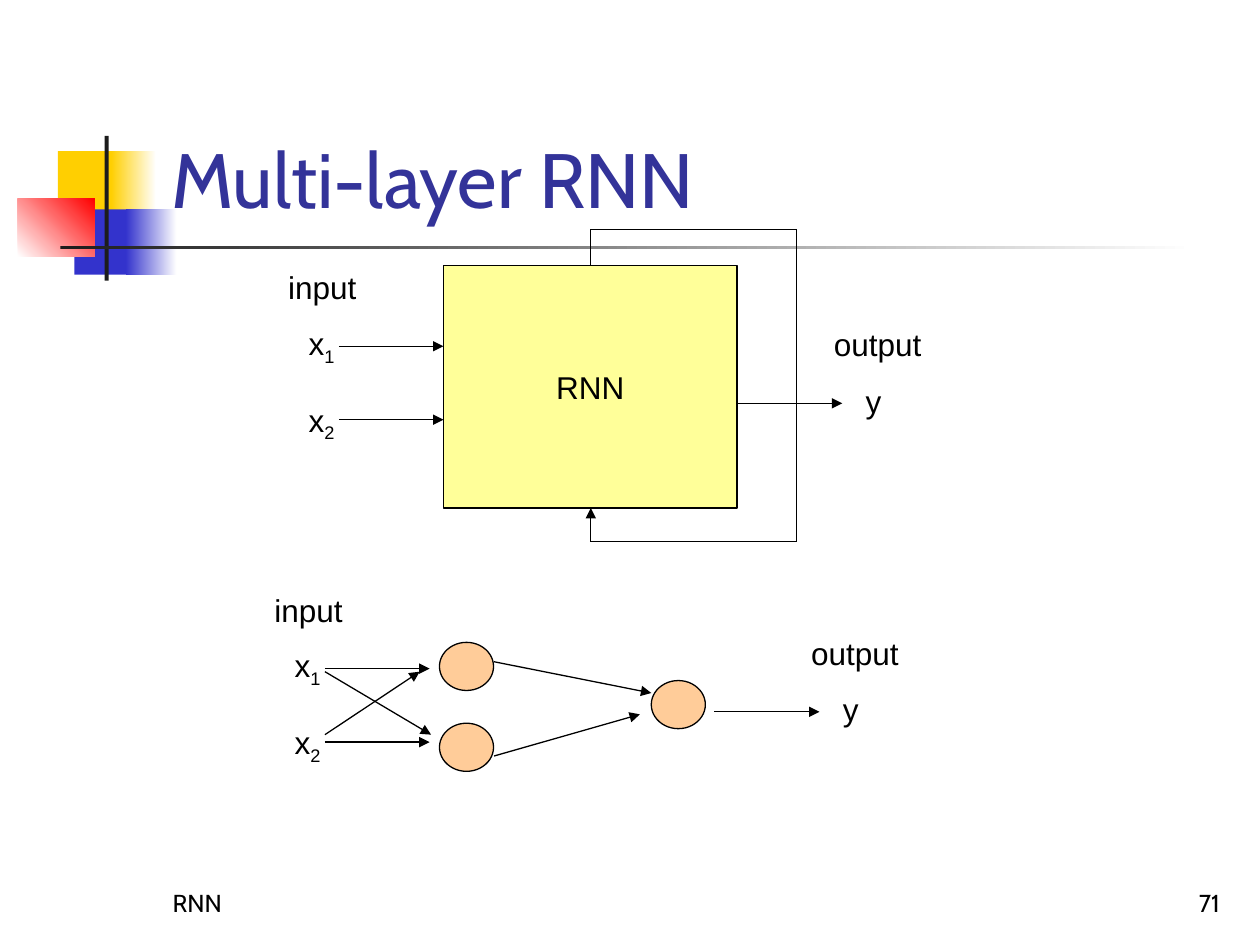
from lxml import etree
from pptx import Presentation
from pptx.dml.color import RGBColor
from pptx.enum.shapes import MSO_CONNECTOR, MSO_SHAPE
from pptx.enum.text import MSO_ANCHOR, PP_ALIGN
from pptx.oxml.ns import qn
from pptx.util import Cm, Pt

RECT, OVAL = MSO_SHAPE.RECTANGLE, MSO_SHAPE.OVAL
STRAIGHT = MSO_CONNECTOR.STRAIGHT
TOP, MIDDLE, BOTTOM = MSO_ANCHOR.TOP, MSO_ANCHOR.MIDDLE, MSO_ANCHOR.BOTTOM
LEFT, CENTER, RIGHT = PP_ALIGN.LEFT, PP_ALIGN.CENTER, PP_ALIGN.RIGHT

BLACK = RGBColor(0x00, 0x00, 0x00)
WHITE = RGBColor(0xFF, 0xFF, 0xFF)
INDIGO = RGBColor(0x33, 0x33, 0x99)
GOLD = RGBColor(0xFF, 0xCF, 0x01)
BLUE = RGBColor(0x33, 0x33, 0xCC)
RED = RGBColor(0xFF, 0x00, 0x00)
CHARCOAL = RGBColor(0x1C, 0x1C, 0x1C)
YELLOW = RGBColor(0xFF, 0xFF, 0x99)
PEACH = RGBColor(0xFF, 0xCC, 0x99)


def write(tf, text, sub="", font="Arial", size=18, color=BLACK,
          align=LEFT, anchor=TOP, wrap=False):
    """Fill a text frame with one line and an optional subscript."""
    tf.word_wrap = wrap
    tf.vertical_anchor = anchor
    p = tf.paragraphs[0]
    p.alignment = align
    for part in filter(None, (text, sub)):
        r = p.add_run()
        r.text = part
        r.font.name, r.font.size = font, Pt(size)
        r.font.color.rgb = color
    if sub:
        r._r.get_or_add_rPr().set("baseline", "-25000")


class Deck:
    heading_font = "Cabin"
    line_width = Pt(0.75)

    def __init__(self, prs):
        self.s = prs.slides.add_slide(prs.slide_layouts[5])

    def title(self, text, x, y, w, h):
        sp = self.s.shapes.title
        sp.left, sp.top, sp.width, sp.height = Cm(x), Cm(y), Cm(w), Cm(h)
        write(sp.text_frame, text, font=self.heading_font, size=44,
              color=INDIGO, anchor=BOTTOM, wrap=True)

    def shape(self, kind, x, y, w, h, fill, end=None, angle=0, outline=True):
        sp = self.s.shapes.add_shape(kind, Cm(x), Cm(y), Cm(w), Cm(h))
        sp.shadow.inherit = False
        if end is None:
            sp.fill.solid()
            sp.fill.fore_color.rgb = fill
        else:
            sp.fill.gradient()
            sp.fill.gradient_angle = angle
            for stop, color in zip(sp.fill.gradient_stops, (fill, end)):
                stop.color.rgb = color
        if outline:
            sp.line.color.rgb = BLACK
            sp.line.width = self.line_width
        else:
            sp.line.fill.background()
        return sp

    def label(self, text, x, y, w, h=1.02, **style):
        sp = self.s.shapes.add_textbox(Cm(x), Cm(y), Cm(w), Cm(h))
        write(sp.text_frame, text, **style)

    def line(self, start, end, arrow=True):
        c = self.s.shapes.add_connector(STRAIGHT, *map(Cm, start + end))
        c.line.color.rgb = BLACK
        c.line.width = self.line_width
        if arrow:
            etree.SubElement(c.line._get_or_add_ln(), qn("a:tailEnd"), type="triangle")
        etree.SubElement(c._element.spPr, qn("a:effectLst"))

    def inputs(self, x, y):
        self.label("input", x, y, 1.88)
        for i in range(2):
            self.label("x", x + 0.41, y + 1.12 + 1.55 * i, 1.07, sub=str(i + 1))
            row = y + 1.7 + 1.48 * i
            self.line((x + 1.27, row), (x + 3.38, row))

    def output(self, x, y):
        self.line((x, y), (x + 2.12, y))
        self.label("output", x + 1.7, y - 1.7, 2.29)
        self.label("y", x + 2.34, y - 0.56, 0.84)


def main():
    prs = Presentation()
    prs.slide_width, prs.slide_height = Cm(25.4), Cm(19.05)
    deck = Deck(prs)

    # Corner ornament and rule
    for x, y, w, h, fill, end, angle in (
        (1.17, 3.05, 1.22, 1.32, GOLD, None, 0),
        (2.24, 3.05, 0.91, 1.32, GOLD, WHITE, 0),
        (1.5, 4.22, 1.17, 1.32, BLUE, None, 0),
        (2.54, 4.22, 1.02, 1.32, BLUE, WHITE, 0),
        (0.36, 4.01, 1.55, 1.17, WHITE, RED, 45),
        (2.11, 2.74, 0.08, 2.92, CHARCOAL, None, 0),
        (1.22, 4.95, 22.86, 0.08, CHARCOAL, WHITE, 0),
    ):
        deck.shape(RECT, x, y, w, h, fill, end, angle, outline=False)

    # Title and footer
    deck.title("Multi-layer RNN", 3.2, 0.58, 21.64, 4.06)
    for text, x, align in (("RNN", 3.23, LEFT), ("71", 19.56, RIGHT)):
        deck.label(text, x, 17.35, 5.28, 1.27, font=deck.heading_font,
                   size=14, align=align, anchor=BOTTOM, wrap=True)

    # RNN block with its feedback loop
    block = deck.shape(RECT, 8.94, 5.36, 5.92, 4.88, YELLOW)
    write(block.text_frame, "RNN", align=CENTER, anchor=MIDDLE)
    deck.inputs(5.56, 5.28)
    deck.output(14.86, 8.13)
    loop = [(11.91, 5.36), (11.91, 4.62), (16.05, 4.62),
            (16.05, 10.92), (11.91, 10.92), (11.91, 10.24)]
    for start, end in zip(loop, loop[1:]):
        deck.line(start, end, arrow=end == loop[-1])

    # Layered network
    deck.inputs(5.28, 11.78)
    deck.output(14.4, 14.35)
    for x, y in ((8.86, 12.95), (8.86, 14.58), (13.13, 13.72)):
        deck.shape(OVAL, x, y, 1.09, 0.97, PEACH)
    for start, end in (
        ((9.96, 13.34), (13.13, 13.97)),
        ((9.96, 15.24), (12.9, 14.4)),
        ((6.55, 13.54), (8.69, 14.81)),
        ((6.55, 14.81), (8.46, 13.54)),
    ):
        deck.line(start, end)

    prs.save("out.pptx")


if __name__ == "__main__":
    main()
